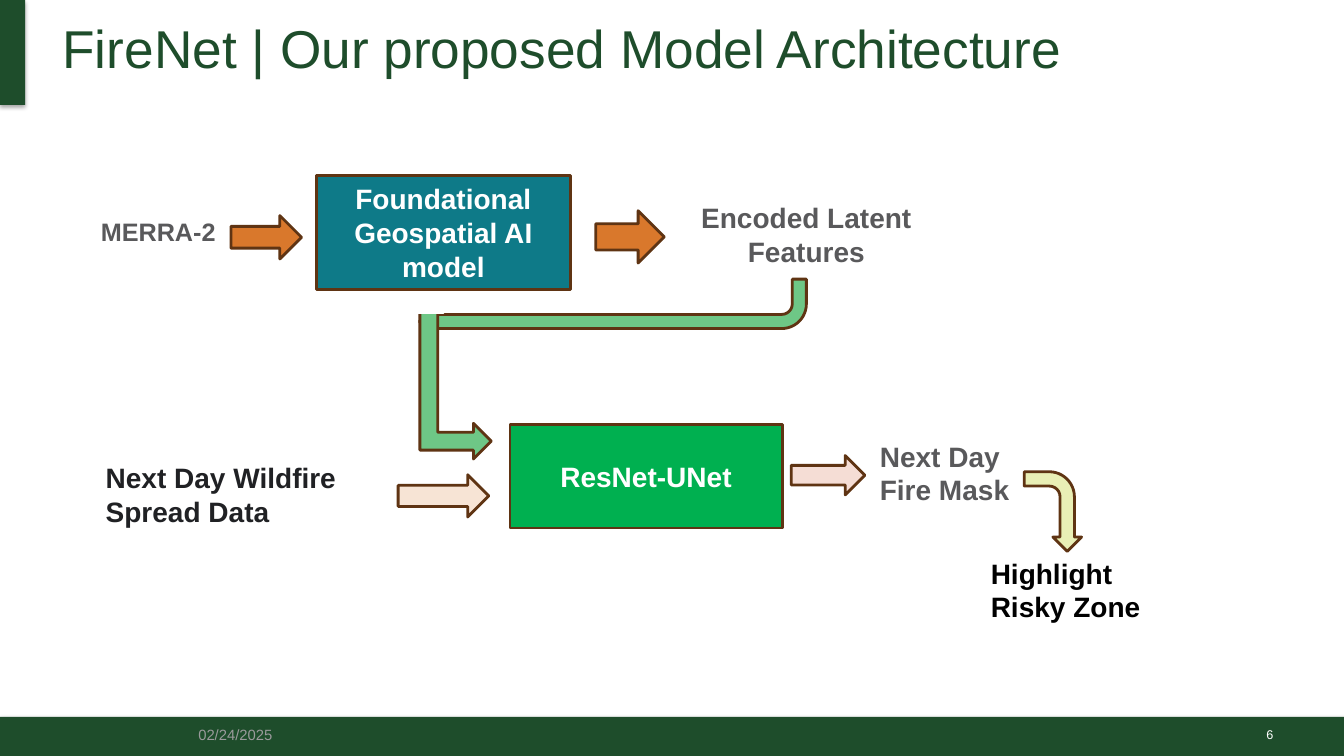
from dataclasses import dataclass

from lxml.etree import SubElement as Sub
from pptx import Presentation
from pptx.dml.color import RGBColor as RGB
from pptx.enum.shapes import MSO_SHAPE as Geo
from pptx.enum.text import MSO_ANCHOR as Anchor, MSO_AUTO_SIZE as Auto, PP_ALIGN as Align
from pptx.oxml.ns import qn
from pptx.util import Pt


@dataclass(frozen=True)
class Theme:
    font: str = "Arial"
    forest: str = "1E4D2B"
    white: str = "FFFFFF"
    black: str = "000000"
    ink: str = "202124"
    gray: str = "59595B"
    pale: str = "9A9A9B"
    brown: str = "5F3413"
    teal: str = "0E7A88"
    orange: str = "D9782C"
    mint: str = "6EC786"
    green: str = "00B050"
    peach: str = "F7E4D5"
    pink: str = "F5DDD5"
    lime: str = "E9EFB5"
    title: float = 38
    body: float = 20
    small: float = 18
    date: float = 10.6
    page: float = 9
    line: float = 2


T = Theme()


def place(box, part):
    """Return a part's lengths, its offset being taken from the box corner."""
    x, y, w, h = part
    return Pt(box[0] + x), Pt(box[1] + y), Pt(w), Pt(h)


def write(frame, text, size, color, bold=False, align=Align.LEFT, anchor=Anchor.TOP):
    frame.word_wrap = True
    frame.vertical_anchor = anchor
    para = frame.paragraphs[0]
    para.text = text
    para.alignment = align
    font = para.font
    font.name, font.size, font.bold = T.font, Pt(size), bold
    font.color.rgb = RGB.from_string(color)


def label(slide, box, part, text, color=T.gray, size=T.body, bold=True, **style):
    frame = slide.shapes.add_textbox(*place(box, part)).text_frame
    write(frame, text, size, color, bold, **style)


def solid(slide, geo, box, part, fill, line=T.brown, turn=0):
    shape = slide.shapes.add_shape(geo, *place(box, part))
    shape.shadow.inherit = False
    shape.rotation = turn
    shape.fill.solid()
    shape.fill.fore_color.rgb = RGB.from_string(fill)
    if line:
        shape.line.color.rgb = RGB.from_string(line)
        shape.line.width = Pt(T.line)
    else:
        shape.line.fill.background()
    return shape


def arrow(slide, box, part, fill):
    solid(slide, Geo.RIGHT_ARROW, box, part, fill)


def block(slide, box, part, text, fill):
    shape = solid(slide, Geo.RECTANGLE, box, part, fill)
    write(shape.text_frame, text, T.body, T.white, True, Align.CENTER, Anchor.MIDDLE)


def bar(slide, box, part):
    """Draw a forest band with a soft shadow below it."""
    shape = solid(slide, Geo.RECTANGLE, box, part, T.forest, None)
    effects = shape.element.spPr.find(qn("a:effectLst"))
    shadow = Sub(effects, qn("a:outerShdw"), blurRad=str(Pt(3.1)),
                 dist=str(Pt(1.8)), dir="5400000", rotWithShape="0")
    color = Sub(shadow, qn("a:srgbClr"), val=T.black)
    Sub(color, qn("a:alpha"), val="35000")


def header(slide, box):
    bar(slide, box, (0, 0, 18, box[3]))
    title = slide.shapes.title
    title.left, title.top, title.width, title.height = place(box, (37.4, 3.6, 900.7, 60.5))
    frame = title.text_frame
    frame.auto_size = Auto.NONE
    frame.margin_left = frame.margin_right = Pt(7.2)
    frame.margin_top = frame.margin_bottom = Pt(7.2)
    write(frame, "FireNet | Our proposed Model Architecture", T.title, T.forest,
          anchor=Anchor.BOTTOM)


def footer(slide, box):
    bar(slide, box, (0, 0, box[2], box[3]))
    label(slide, box, (134.6, -1.5, 216, 28.8), "02/24/2025", T.pale, T.date, False,
          anchor=Anchor.MIDDLE)
    label(slide, box, (700.6, -1.5, 216, 28.8), "6", T.white, T.page, False,
          align=Align.RIGHT, anchor=Anchor.MIDDLE)


def encoder(slide, box):
    block(slide, box, (161, 0.3, 181.4, 81.4), "Foundational Geospatial AI model", T.teal)
    label(slide, box, (0, 26, 103, 29), "MERRA-2", size=T.small)
    arrow(slide, box, (100, 29, 50.4, 31), T.orange)
    label(slide, box, (413, 14.7, 196, 55.4), "Encoded Latent Features", align=Align.CENTER)
    arrow(slide, box, (360.5, 25.5, 49, 37.4), T.orange)


def link(slide, box):
    """Lead the features down to the decoder; a white patch joins both bends."""
    solid(slide, Geo.BENT_ARROW, box, (28.5, 0.4, 276.5, 40.3), T.mint, turn=180)
    solid(slide, Geo.BENT_UP_ARROW, box, (0.4, 49.4, 108, 51), T.mint, turn=90)
    solid(slide, Geo.RECTANGLE, box, (25, 12, 21, 12), T.white, T.white)


def decoder(slide, box):
    block(slide, box, (296.3, 0, 194.4, 74.2), "ResNet-UNet", T.green)
    label(slide, box, (0.4, 22.4, 198, 55.4), "Next Day Wildfire Spread Data", T.ink)
    arrow(slide, box, (216.4, 36.1, 64.8, 30.2), T.peach)
    arrow(slide, box, (497.2, 22.4, 52.6, 28.1), T.pink)
    label(slide, box, (553.4, 7.3, 122.4, 55.4), "Next Day Fire Mask")
    label(slide, box, (632.6, 90.8, 144.7, 55.4), "Highlight Risky Zone", T.black)
    solid(slide, Geo.BENT_ARROW, box, (655.6, 41.9, 56.9, 41), T.lime, turn=90)


def main():
    deck = Presentation()
    deck.slide_width, deck.slide_height = Pt(960), Pt(540)
    slide = deck.slides.add_slide(deck.slide_layouts.get_by_name("Title Only"))
    footer(slide, (0, 512, 960, 28))
    header(slide, (0, 0, 960, 75))
    encoder(slide, (65, 125, 609, 82))
    link(slide, (271, 199, 305, 130))
    decoder(slide, (68, 303, 778, 147))
    deck.save("out.pptx")


if __name__ == "__main__":
    main()
